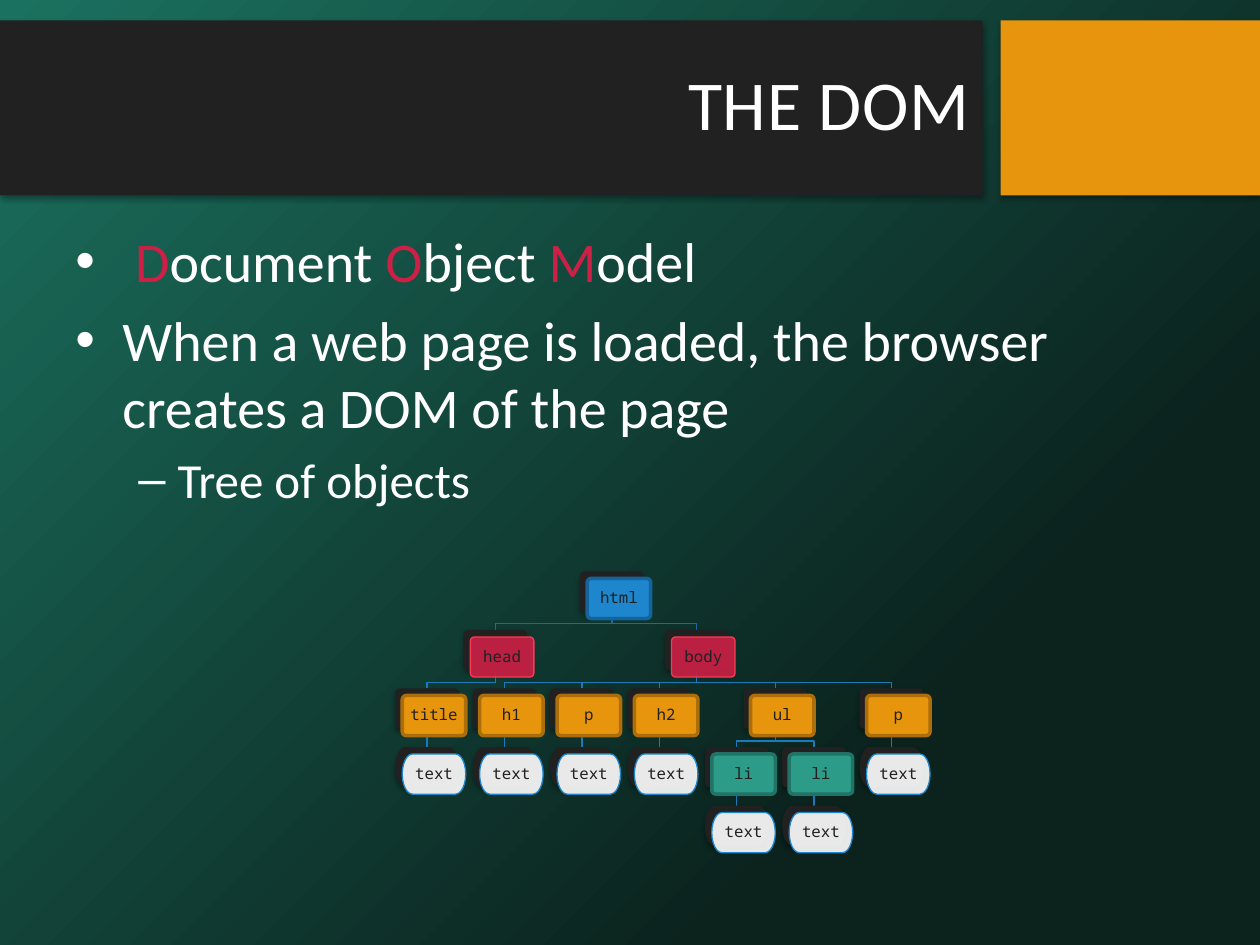
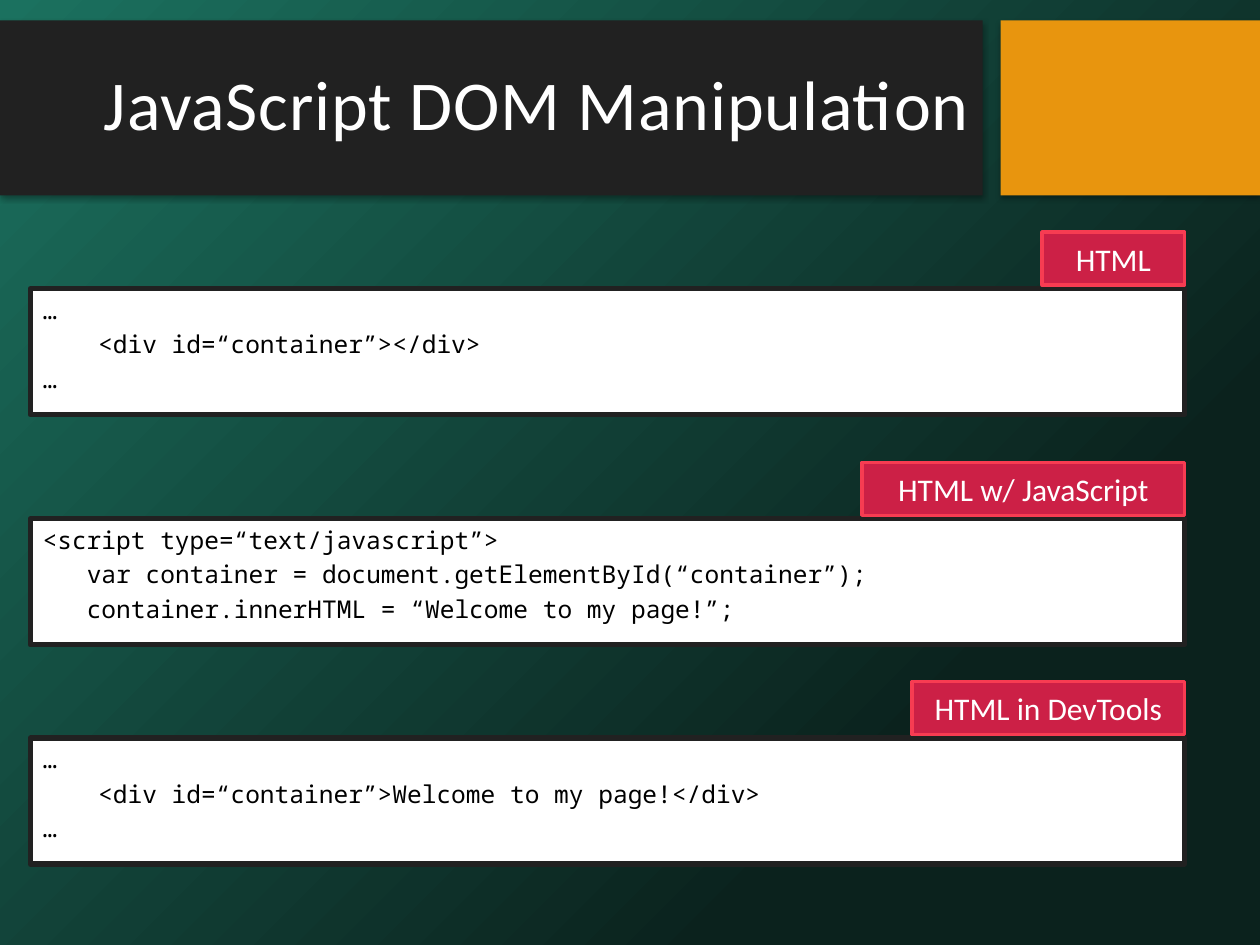
import lxml.etree
import pptx
import pptx.dml.color
import pptx.enum.shapes
import pptx.enum.text
import pptx.oxml.ns
import pptx.util

Cm = pptx.util.Cm
Pt = pptx.util.Pt
Align = pptx.enum.text.PP_ALIGN
Anchor = pptx.enum.text.MSO_ANCHOR
Preset = pptx.enum.shapes.MSO_SHAPE

WHITE, BLACK, DARK = "FFFFFF", "000000", "212121"
ORANGE, CRIMSON, RED_EDGE = "E8950E", "CC2046", "F73C52"
TEXT_FONT, CODE_FONT = "Calibri", "Noto Sans Mono"


def rgb(hex_string):
    return pptx.dml.color.RGBColor.from_string(hex_string)


def add_xml(parent, tag, **attributes):
    """Append an element such as a:path to parent."""
    return lxml.etree.SubElement(parent, pptx.oxml.ns.qn(tag), attributes)


def apply(target, values):
    for name, value in values.items():
        setattr(target, name, value)


class Deck:
    title_format = {"name": TEXT_FONT, "size": Pt(40)}
    body_format = {"name": TEXT_FONT, "size": Pt(32)}
    sub_format = {"name": TEXT_FONT, "size": Pt(28)}
    tag_format = {"name": TEXT_FONT, "size": Pt(18)}
    code_format = {"name": CODE_FONT, "size": Pt(14)}
    node_format = {"name": CODE_FONT, "size": Pt(9)}

    def __init__(self):
        self.presentation = pptx.Presentation()
        self.presentation.slide_width = Cm(25.4)
        self.presentation.slide_height = Cm(19.05)
        self.layout = self.presentation.slide_layouts[5]
        self.slide = None

    def new_slide(self, title):
        first = self.slide is None
        self.slide = self.presentation.slides.add_slide(self.layout)
        if first:
            self.share_bands()
        heading = self.slide.shapes.title
        apply(heading, {"left": Cm(0), "top": Cm(0.58),
                        "width": Cm(19.81), "height": Cm(3.18)})
        heading.text_frame.vertical_anchor = Anchor.MIDDLE
        paragraph = heading.text_frame.paragraphs[0]
        apply(paragraph, {"alignment": Align.RIGHT, "line_spacing": 0.9})
        run = self.add_run(paragraph, title, self.title_format, WHITE)
        run.font._element.set("spc", "50")

    def share_bands(self):
        """Place the backdrop and the title bands on the layout."""
        backdrop = self.add_box(0, 0, 25.4, 19.05, WHITE, shadow=True)
        backdrop.fill.gradient()
        for stop, position, color in zip(backdrop.fill.gradient_stops,
                                         (0, 0.75), ("1B715F", "0B221D")):
            stop.position, stop.color.rgb = position, rgb(color)
        gradient = backdrop.element.spPr.find(pptx.oxml.ns.qn("a:gradFill"))
        gradient.remove(gradient.find(pptx.oxml.ns.qn("a:lin")))
        focus = add_xml(gradient, "a:path", path="circle")
        add_xml(focus, "a:fillToRect", r="100000", b="100000")

        title_band = self.add_box(0, 0.41, 19.81, 3.53, DARK, shadow=True)
        accent_band = self.add_box(20.17, 0.41, 5.23, 3.53, ORANGE, shadow=True)
        for index, band in enumerate((backdrop, title_band, accent_band)):
            band.element.nvSpPr.cNvPr.set("id", str(100 + index))
            self.layout.shapes.element.insert(2 + index, band.element)

    def add_box(self, left, top, width, height, fill, edge=None, edge_width=2,
                preset=Preset.RECTANGLE, alpha=None, shadow=False):
        box = self.slide.shapes.add_shape(
            preset, Cm(left), Cm(top), Cm(width), Cm(height))
        if preset == Preset.ROUNDED_RECTANGLE:
            box.adjustments[0] = 0.1
        box.fill.solid()
        box.fill.fore_color.rgb = rgb(fill)
        if alpha:
            solid = box.element.spPr.find(pptx.oxml.ns.qn("a:solidFill"))
            add_xml(solid[0], "a:alpha", val=str(alpha * 1000))
        if edge:
            box.line.color.rgb = rgb(edge)
            box.line.width = Pt(edge_width)
        else:
            box.line.fill.background()
        box.shadow.inherit = False
        if shadow:
            effects = box.element.spPr.find(pptx.oxml.ns.qn("a:effectLst"))
            outer = add_xml(effects, "a:outerShdw", blurRad=str(Pt(3.1)),
                            dist=str(Pt(1.8)), dir="5400000", rotWithShape="0")
            color = add_xml(outer, "a:srgbClr", val=BLACK)
            add_xml(color, "a:alpha", val="35000")
        return box

    def add_run(self, paragraph, text, font_format, color):
        run = paragraph.add_run()
        run.text = text
        apply(run.font, font_format)
        run.font.color.rgb = rgb(color)
        return run

    def add_paragraph(self, frame, runs, font_format, indent=0, hanging=0,
                      bullet=None):
        """Add a paragraph of (text, color) runs below those in the frame."""
        first = frame.paragraphs[0]
        paragraph = frame.add_paragraph() if first.runs else first
        apply(paragraph, {"alignment": Align.LEFT,
                          "space_before": Pt(font_format["size"].pt * 0.2)})
        properties = paragraph._p.get_or_add_pPr()
        properties.set("marL", str(Cm(indent)))
        properties.set("indent", str(-Cm(hanging)))
        if bullet:
            add_xml(properties, "a:buFont", typeface="Arial")
            add_xml(properties, "a:buChar", char=bullet)
        for text, color in runs:
            self.add_run(paragraph, text, font_format, color)

    def add_body(self, left, top, width, height):
        body = self.slide.shapes.add_textbox(
            Cm(left), Cm(top), Cm(width), Cm(height))
        body.text_frame.word_wrap = True
        return body.text_frame

    def add_label(self, box, text, font_format, color, line_spacing=1.0):
        box.text_frame.vertical_anchor = Anchor.MIDDLE
        paragraph = box.text_frame.paragraphs[0]
        apply(paragraph, {"alignment": Align.CENTER,
                          "line_spacing": line_spacing})
        self.add_run(paragraph, text, font_format, color)

    def add_listing(self, top, tag, tag_width, lines):
        """Add a code panel with its tag standing on the right end."""
        left, width = 0.61, 23.27
        panel = self.add_box(left, top, width, 2.54, WHITE, DARK, 3)
        panel.text_frame.vertical_anchor = Anchor.TOP
        for text, indent in lines:
            self.add_paragraph(panel.text_frame, [(text, BLACK)],
                               self.code_format, indent)
        tag_box = self.add_box(left + width - tag_width, top - 1.14,
                               tag_width, 1.07, CRIMSON, RED_EDGE)
        self.add_label(tag_box, tag, self.tag_format, WHITE)

    def add_node(self, left, top, label, style):
        """Add a tree node and return the dark plate behind it."""
        width, height, offset, inset = 1.28, 0.81, 0.14, Cm(0.1)
        plate = self.add_box(left, top, width, height, DARK,
                             preset=style["preset"], shadow=True)
        face = self.add_box(left + offset, top + offset, width, height, **style)
        apply(face.text_frame, {"margin_left": inset, "margin_right": inset,
                                "margin_top": inset, "margin_bottom": inset})
        self.add_label(face, label, self.node_format, DARK, 0.9)
        return plate

    def add_link(self, parent, child, color):
        """Link two plates, straight or bent, behind everything else."""
        shapes = self.slide.shapes
        start_x, end_x = (plate.left + plate.width // 2
                          for plate in (parent, child))
        start_y, end_y = parent.top + parent.height, child.top
        if start_x == end_x:
            link = shapes.add_connector(
                pptx.enum.shapes.MSO_CONNECTOR.STRAIGHT,
                start_x, start_y, end_x, end_y)
            link.begin_connect(parent, 2)
            link.end_connect(child, 0)
        else:
            bend_y = start_y + (end_y - start_y) * 2 // 3
            outline = shapes.build_freeform(start_x, start_y)
            outline.add_line_segments(
                [(start_x, bend_y), (end_x, bend_y), (end_x, end_y)], close=False)
            link = outline.convert_to_shape()
            link.fill.background()
        link.line.color.rgb = rgb(color)
        link.line.width = Pt(0.75)
        add_xml(link.element.spPr, "a:effectLst")
        shapes.element.insert(2, link.element)


def node_style(fill, edge, edge_width=2, alpha=None,
               preset=Preset.ROUNDED_RECTANGLE):
    return {"fill": fill, "edge": edge, "edge_width": edge_width,
            "alpha": alpha, "preset": preset}


ROOT = node_style("1D86CD", "156398")
SECTION = node_style(CRIMSON, RED_EDGE, 0.75, 90)
ELEMENT = node_style(ORANGE, "AC6E0A")
ITEM = node_style("2C9C89", "217365")
TEXT = node_style(WHITE, "1D86CD", 0.75, 90, Preset.FLOWCHART_TERMINATOR)


def with_text(label, column, style=ELEMENT):
    return label, column, style, [("text", column, TEXT, [])]


# Each node: label, column, style, children
DOM_TREE = ("html", 2.39, ROOT, [
    ("head", 0.88, SECTION, [with_text("title", 0)]),
    ("body", 3.48, SECTION, [
        with_text("h1", 1),
        with_text("p", 2),
        with_text("h2", 3),
        ("ul", 4.5, ELEMENT, [with_text("li", 4, ITEM),
                              with_text("li", 5, ITEM)]),
        with_text("p", 6),
    ]),
])


def draw_tree(deck, node, depth=0):
    label, column, style, children = node
    plate = deck.add_node(7.97 + 1.56 * column, 11.52 + 1.18 * depth,
                          label, style)
    for child in children:
        child_plate = draw_tree(deck, child, depth + 1)
        deck.add_link(plate, child_plate, "1A7ABA" if depth else "176BA4")
    return plate


def build_dom_slide(deck):
    deck.new_slide("THE DOM")
    # Definition
    body = deck.add_body(1.27, 4.45, 22.86, 12.7)
    acronym = [(" ", WHITE), ("D", CRIMSON), ("ocument ", WHITE),
               ("O", CRIMSON), ("bject ", WHITE),
               ("M", CRIMSON), ("odel", WHITE)]
    loading = [("When a web page is loaded, the browser creates "
                "a DOM of the page", WHITE)]
    for runs in (acronym, loading):
        deck.add_paragraph(body, runs, deck.body_format, 0.95, 0.95, "•")
    deck.add_paragraph(body, [("Tree of objects", WHITE)],
                       deck.sub_format, 2.06, 0.79, "–")
    # Object tree
    draw_tree(deck, DOM_TREE)


def build_manipulation_slide(deck):
    deck.new_slide("JavaScript DOM Manipulation")
    # Code panels: lines are (text, indent)
    markup_indent, script_indent = 1.12, 0.89
    deck.add_listing(5.82, "HTML", 2.87, [
        ("…", 0),
        ("<div id=“container”></div>", markup_indent),
        ("…", 0)])
    deck.add_listing(10.46, "HTML w/ JavaScript", 6.5, [
        ("<script type=“text/javascript”>", 0),
        ("var container = document.getElementById(“container”);", script_indent),
        ("container.innerHTML = “Welcome to my page!”;", script_indent)])
    deck.add_listing(14.88, "HTML in DevTools", 5.49, [
        ("…", 0),
        ("<div id=“container”>Welcome to my page!</div>", markup_indent),
        ("…", 0)])


def main():
    deck = Deck()
    build_dom_slide(deck)
    build_manipulation_slide(deck)
    deck.presentation.save("out.pptx")


if __name__ == "__main__":
    main()
